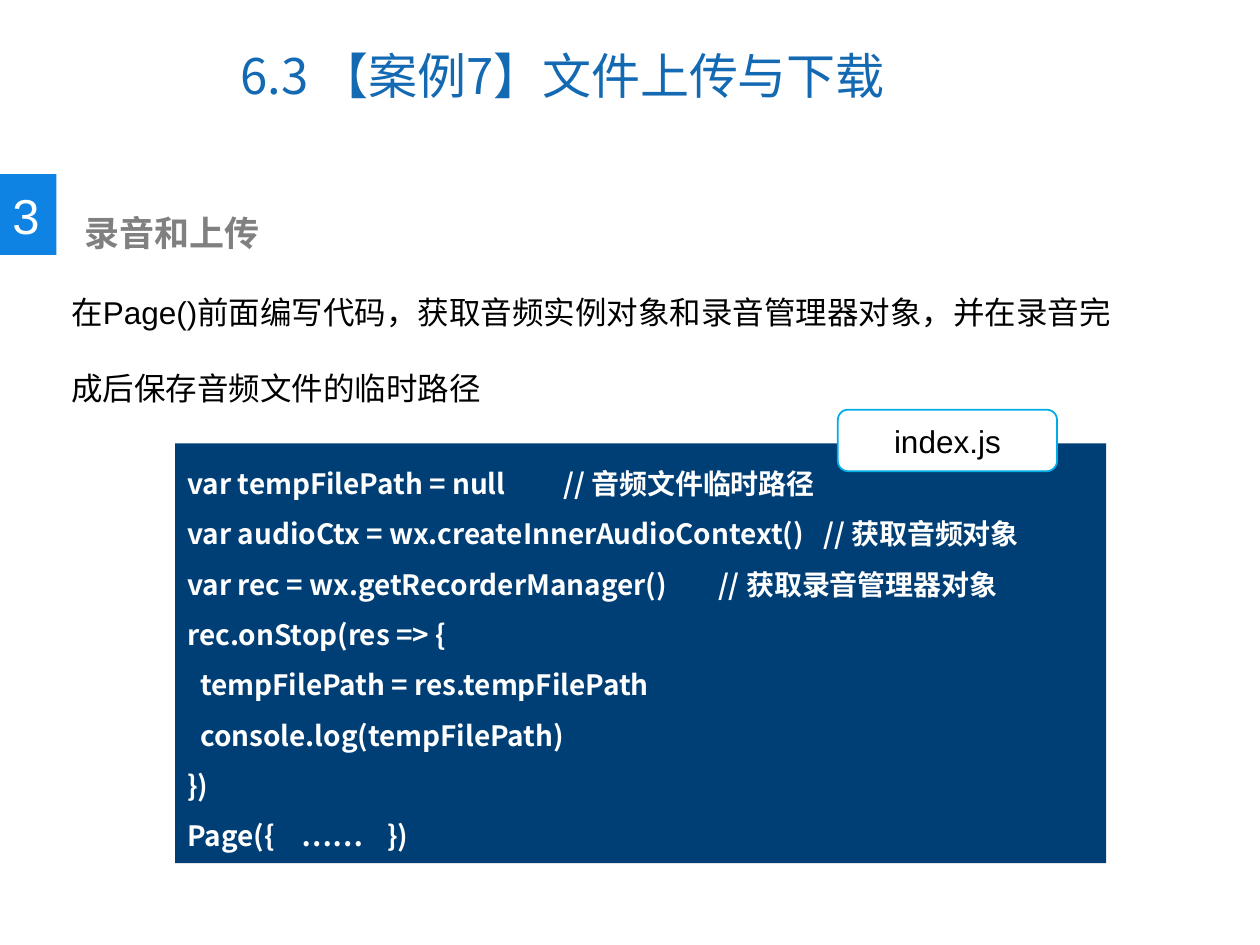
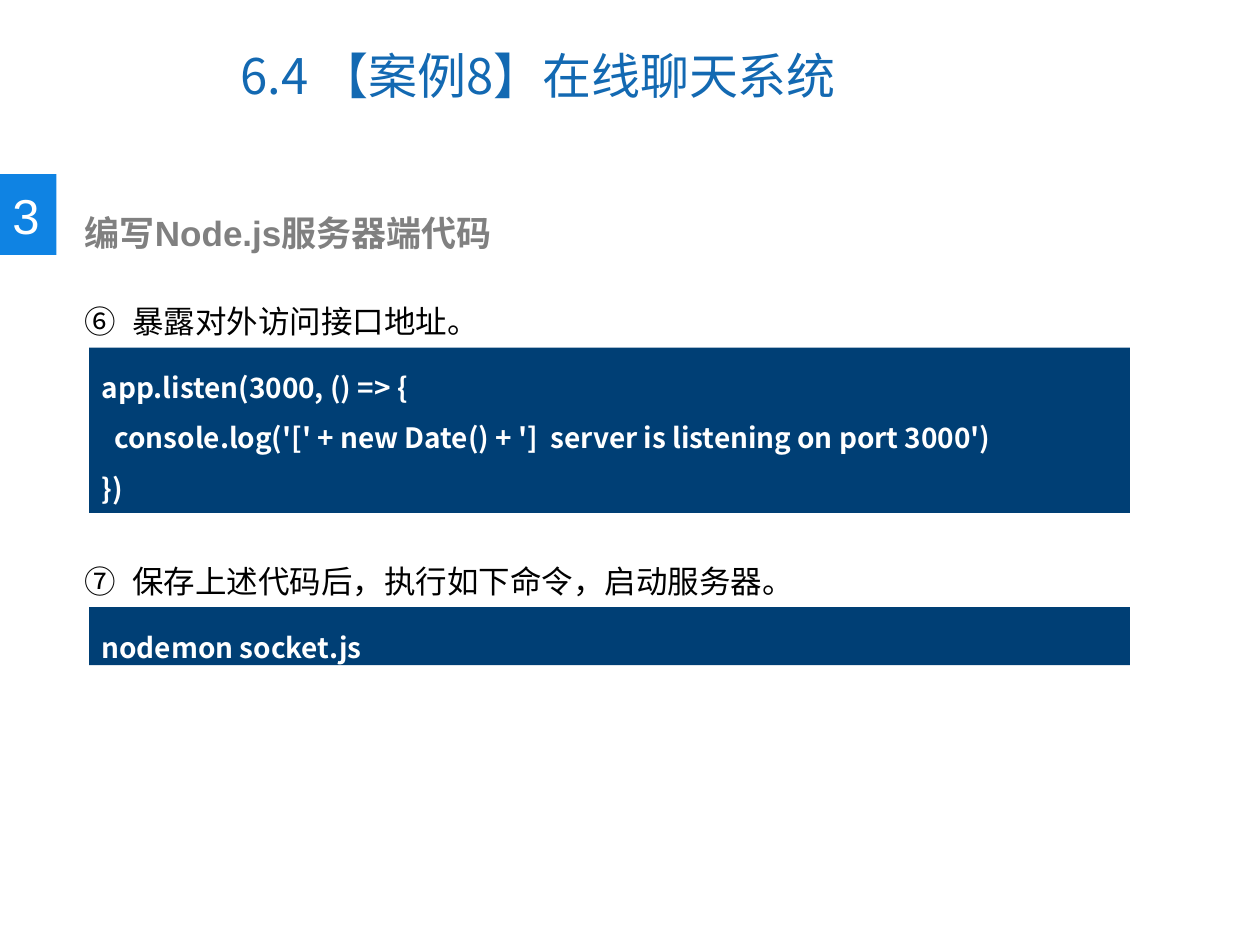
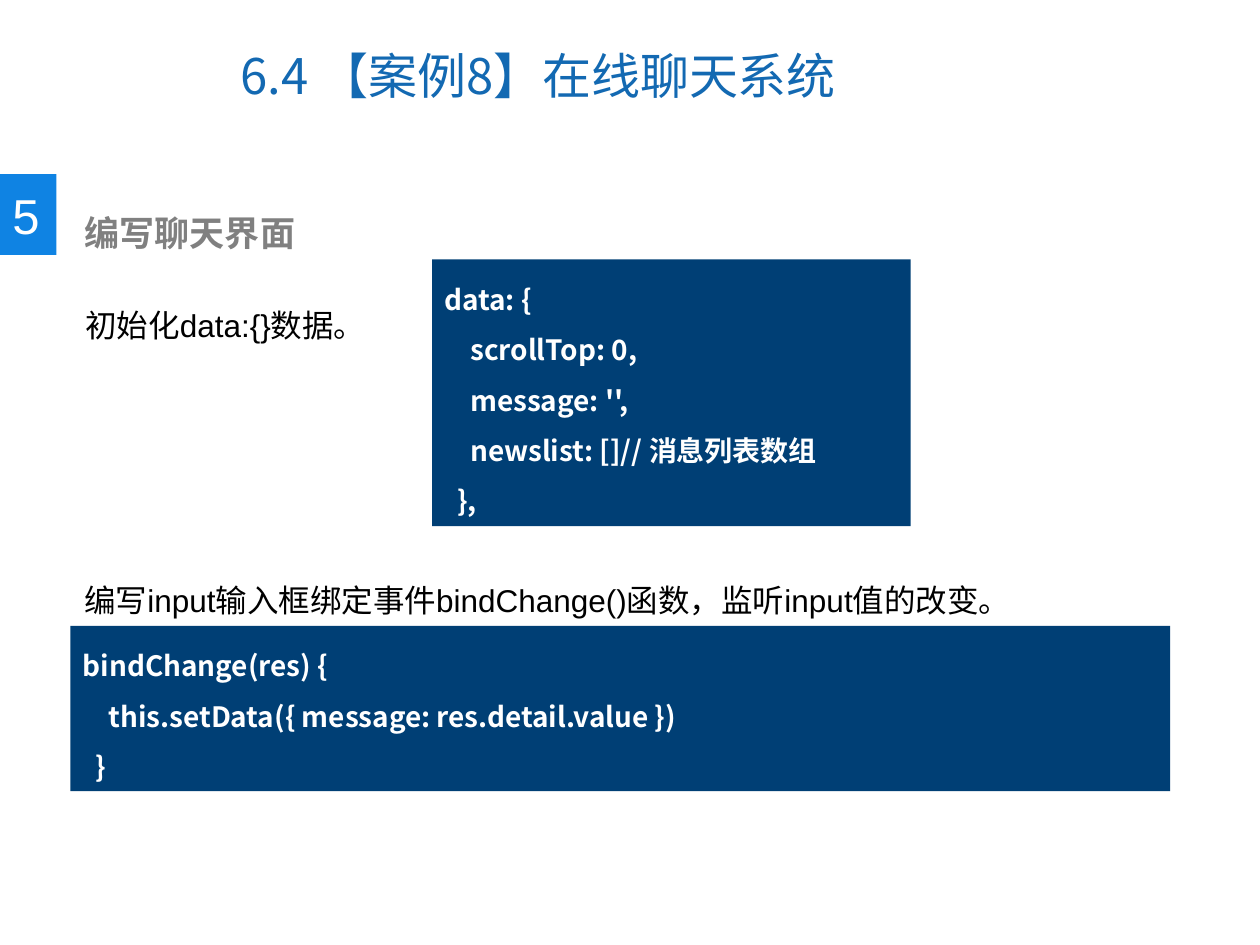
"""Builds three lesson slides with code listings."""
from lxml.etree import SubElement as Sub
from pptx import Presentation
from pptx.dml.color import RGBColor as RGB
from pptx.enum.shapes import MSO_SHAPE as Shape
from pptx.enum.text import MSO_ANCHOR as Anchor, PP_ALIGN as Align
from pptx.oxml.ns import qn
from pptx.util import Cm, Pt

BLUE = RGB(0x13, 0x69, 0xB2)
BADGE = RGB(0x0F, 0x83, 0xE3)
NAVY = RGB(0x00, 0x3F, 0x75)
CYAN = RGB(0x00, 0xAC, 0xE6)
GRAY = RGB(0x80, 0x80, 0x80)
BLACK = RGB(0, 0, 0)
WHITE = RGB(0xFF, 0xFF, 0xFF)
SANS, HAN = "Arial", "Noto Sans CJK SC"
INDENT = 0.26
CHAT = "6.4 【案例8】在线聊天系统"

SLIDES = [
    {
        "title": "6.3 【案例7】文件上传与下载",
        "num": "3",
        "head": "录音和上传",
        "notes": [
            ((1.19, 5.03, 21.97, 3.33), None,
             "在Page()前面编写代码，获取音频实例对象和录音管理器对象，并在录音完成后保存音频文件的临时路径"),
        ],
        "codes": [
            ((3.53, 8.94, 18.77, 8.46), [
                (0, "var tempFilePath = null", (7.58, "// 音频文件临时路径")),
                (0, "var audioCtx = wx.createInnerAudioContext()", (12.82, "// 获取音频对象")),
                (0, "var rec = wx.getRecorderManager()", (10.7, "// 获取录音管理器对象")),
                (0, "rec.onStop(res => {"),
                (1, "tempFilePath = res.tempFilePath"),
                (1, "console.log(tempFilePath)"),
                (0, "})"),
                (0, "Page({", (2.3, "……"), (4.03, "})")),
            ]),
        ],
        "tag": ((16.89, 8.26, 4.42, 1.24), "index.js"),
    },
    {
        "title": CHAT,
        "num": "3",
        "head": "编写Node.js服务器端代码",
        "notes": [
            ((1.45, 5.21, 19.91, 1.55), 6, "暴露对外访问接口地址。"),
            ((1.45, 10.44, 19.91, 1.55), 7, "保存上述代码后，执行如下命令，启动服务器。"),
        ],
        "codes": [
            ((1.8, 7.01, 20.98, 3.33), [
                (0, "app.listen(3000, () => {"),
                (1, "console.log('[' + new Date() + ']  server is listening on port 3000')"),
                (0, "})"),
            ]),
            ((1.8, 12.24, 20.98, 1.17), [(0, "nodemon socket.js")]),
        ],
    },
    {
        "title": CHAT,
        "num": "5",
        "head": "编写聊天界面",
        "notes": [
            ((1.45, 10.82, 23.44, 1.55), None,
             "编写input输入框绑定事件bindChange()函数，监听input值的改变。"),
            ((1.47, 5.28, 23.44, 1.55), None, "初始化data:{}数据。"),
        ],
        "codes": [
            ((1.42, 12.62, 22.17, 3.33), [
                (0, "bindChange(res) {"),
                (2, "this.setData({ message: res.detail.value })"),
                (1, "}"),
            ]),
            ((8.71, 5.23, 9.65, 5.38), [
                (0, "data: {"),
                (2, "scrollTop: 0,"),
                (2, "message: '',"),
                (2, "newslist: []// 消息列表数组"),
                (1, "},"),
            ]),
        ],
    },
]


def style(para, size, color, face=SANS, bold=False):
    for run in para.runs:
        font = run.font
        font.size, font.bold, font.name = Pt(size), bold, face
        font.color.rgb = color
        Sub(font._element, qn("a:ea"), typeface=HAN)


def label(slide, box, text, size, color, wrap=True, **look):
    frame = slide.shapes.add_textbox(*map(Cm, box)).text_frame
    frame.word_wrap = wrap
    frame.text = text
    style(frame.paragraphs[0], size, color, **look)
    return frame


def panel(slide, kind, box, fill, line=None):
    shape = slide.shapes.add_shape(kind, *map(Cm, box))
    shape.shadow.inherit = False
    shape.fill.solid()
    shape.fill.fore_color.rgb = fill
    if line:
        shape.line.color.rgb = line
        shape.line.width = Pt(1)
    else:
        shape.line.fill.background()
    return shape.text_frame


def note(slide, box, start, text):
    para = label(slide, box, text, 18, BLACK).paragraphs[0]
    para.line_spacing = 2.0
    if start:
        props = para._p.get_or_add_pPr()
        props.set("marL", str(Cm(0.97)))
        props.set("indent", str(-Cm(0.97)))
        Sub(props, qn("a:buAutoNum"), type="circleNumDbPlain", startAt=str(start))


def code(slide, box, lines):
    frame = panel(slide, Shape.RECTANGLE, box, NAVY)
    frame.word_wrap = True
    frame.vertical_anchor = Anchor.TOP
    frame.text = "\n".join("\t".join([text, *(part for _, part in rest)])
                           for _, text, *rest in lines)
    for para, (level, _, *rest) in zip(frame.paragraphs, lines):
        para.alignment = Align.LEFT
        para.line_spacing = 1.5
        style(para, 16, WHITE, HAN, True)
        props = para._p.get_or_add_pPr()
        props.set("marL", str(Cm(level * INDENT)))
        if rest:
            tabs = Sub(props, qn("a:tabLst"))
            for stop, _ in rest:
                Sub(tabs, qn("a:tab"), pos=str(Cm(stop)), algn="l")


def tag(slide, box, text):
    frame = panel(slide, Shape.ROUNDED_RECTANGLE, box, WHITE, CYAN)
    frame.text = text
    frame.vertical_anchor = Anchor.MIDDLE
    frame.paragraphs[0].alignment = Align.CENTER
    style(frame.paragraphs[0], 18, BLACK)


def header(slide, data):
    title = label(slide, (4.6, 0.43, 13.72, 2.16), data["title"], 28, BLUE, face=HAN)
    title.vertical_anchor = Anchor.MIDDLE
    panel(slide, Shape.RECTANGLE, (0, 3.51, 1.14, 1.63), BADGE)
    label(slide, (0, 3.61, 1.07, 1.45), data["num"], 28, WHITE, wrap=False)
    head = label(slide, (1.19, 4.14, 13.06, 1.12), data["head"], 20, GRAY, bold=True)
    head.margin_left = Cm(0.52)


def main():
    deck = Presentation()
    deck.slide_width, deck.slide_height = Cm(25.4), Cm(19.05)
    for data in SLIDES:
        slide = deck.slides.add_slide(deck.slide_layouts[6])
        header(slide, data)
        for item in data["notes"]:
            note(slide, *item)
        for item in data["codes"]:
            code(slide, *item)
        if "tag" in data:
            tag(slide, *data["tag"])
    deck.save("out.pptx")


if __name__ == "__main__":
    main()
